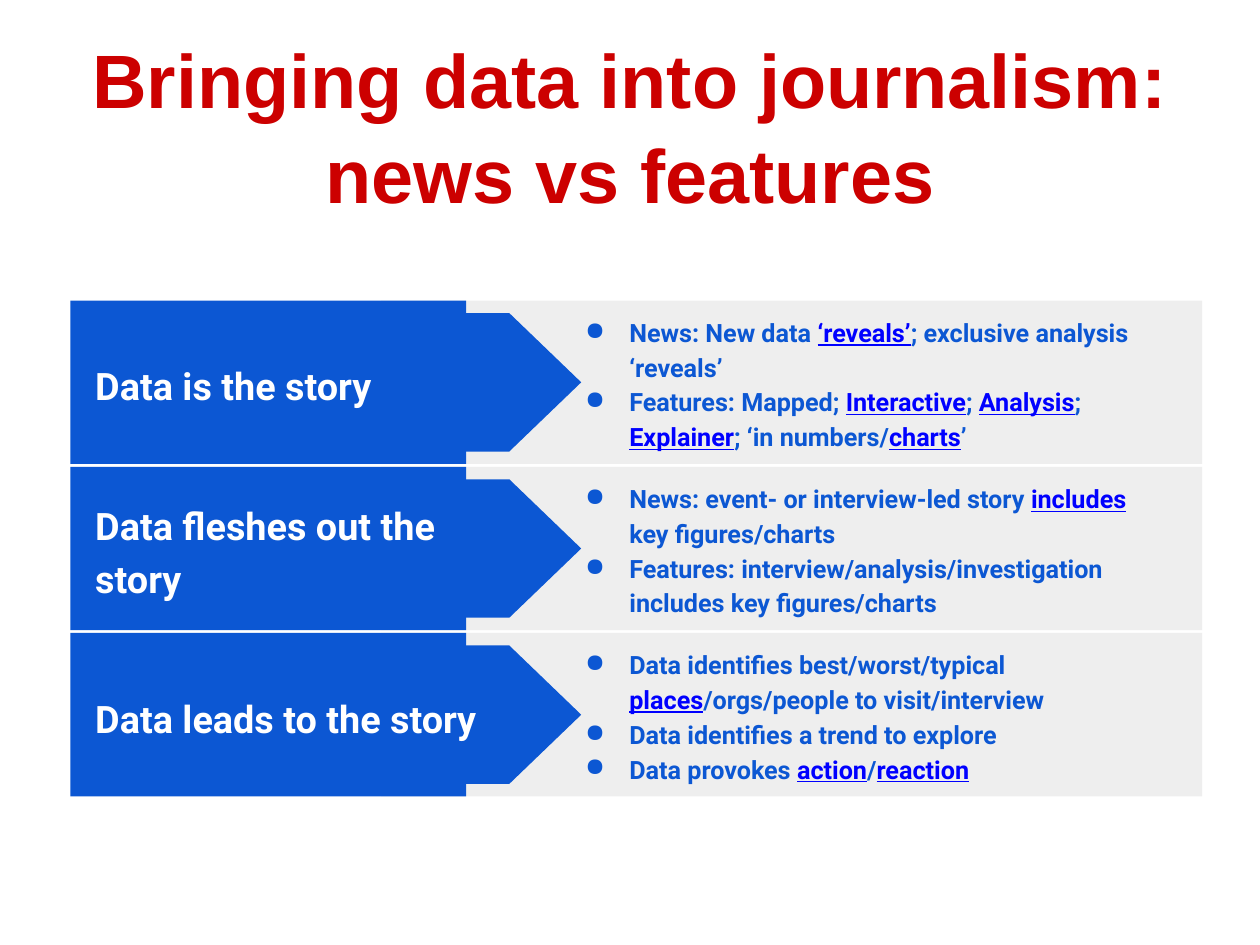
from lxml import etree
from pptx import Presentation
from pptx.dml.color import RGBColor
from pptx.enum.shapes import MSO_SHAPE
from pptx.enum.text import MSO_ANCHOR, PP_ALIGN
from pptx.oxml.ns import qn
from pptx.util import Inches, Pt

RECT = MSO_SHAPE.RECTANGLE
POINTER = MSO_SHAPE.FLOWCHART_OFFPAGE_CONNECTOR
MIDDLE = MSO_ANCHOR.MIDDLE
CENTER = PP_ALIGN.CENTER

# Content: the words between bars are underlined
TITLE = "Bringing data into journalism: news vs features"
ROWS = [
    ("Data is the story", [
        "News: New data |‘reveals’|; exclusive analysis ‘reveals’",
        "Features: Mapped; |Interactive|; |Analysis|; |Explainer|; ‘in numbers/|charts|’",
    ]),
    ("Data fleshes out the story", [
        "News: event- or interview-led story |includes| key figures/charts",
        "Features: interview/analysis/investigation includes key figures/charts",
    ]),
    ("Data leads to the story", [
        "Data identifies best/worst/typical |places|/orgs/people to visit/interview",
        "Data identifies a trend to explore",
        "Data provokes |action|/|reaction|",
    ]),
]
COLORS = {"title": "CC0000", "blue": "0C57D3", "panel": "EEEEEE",
          "label": "FFFFFF", "link": "0000FF"}

# Layout in inches
ROW_TOP, ROW_PITCH, ROW_H = 2.65, 1.465, 1.44
POINTER_W, POINTER_LEN, POINTER_MID = 1.22, 3.17, 3.54
LABEL_H = 1.11

prs = Presentation()
prs.slide_width, prs.slide_height = Inches(11.11), Inches(8.33)
s = prs.slides.add_slide(prs.slide_layouts[6])


def add_block(kind, x, y, w, h, color, rotation=0):
    sp = s.shapes.add_shape(kind, Inches(x), Inches(y), Inches(w), Inches(h))
    sp.shadow.inherit = False
    sp.fill.solid()
    sp.fill.fore_color.rgb = RGBColor.from_string(COLORS[color])
    sp.line.fill.background()
    sp.rotation = rotation


def add_box(x, y, w, h, inset):
    tf = s.shapes.add_textbox(Inches(x), Inches(y), Inches(w), Inches(h)).text_frame
    tf.word_wrap = True
    tf.vertical_anchor = MIDDLE
    tf.margin_left = tf.margin_right = tf.margin_top = tf.margin_bottom = Inches(inset)
    return tf


def add_run(p, text, size, color, font="Roboto", underline=False):
    r = p.add_run()
    r.text = text
    r.font.size, r.font.name, r.font.bold = Pt(size), font, True
    r.font.underline = underline
    r.font.color.rgb = RGBColor.from_string(COLORS[color])


def add_bullet(p):
    pPr = p._p.get_or_add_pPr()
    pPr.set("marL", str(Inches(0.56)))
    pPr.set("indent", str(Inches(-0.39)))
    bu_color = etree.SubElement(pPr, qn("a:buClr"))
    etree.SubElement(bu_color, qn("a:srgbClr")).set("val", COLORS["blue"])
    etree.SubElement(pPr, qn("a:buChar")).set("char", "●")


# Rows: panel, label block, pointer and two texts
for i, (label, bullets) in enumerate(ROWS):
    top = ROW_TOP + i * ROW_PITCH
    mid = top + ROW_H / 2
    add_block(RECT, 3.36, top, 7.24, ROW_H, "panel")
    add_block(RECT, 0.62, top, 3.49, ROW_H, "blue")
    add_block(POINTER, POINTER_MID - POINTER_W / 2, mid - POINTER_LEN / 2,
              POINTER_W, POINTER_LEN, "blue", rotation=270)

    p = add_box(0.73, mid - LABEL_H / 2, 3.67, LABEL_H, 0.11).paragraphs[0]
    p.line_spacing = 1.15
    add_run(p, label, 24, "label")

    tf = add_box(4.88, top, 5.35, ROW_H, 0.11)
    for j, bullet in enumerate(bullets):
        p = tf.add_paragraph() if j else tf.paragraphs[0]
        add_bullet(p)
        p.line_spacing = 1.15
        for k, part in enumerate(bullet.split("|")):
            linked = k % 2 == 1
            if part:
                add_run(p, part, 16, "link" if linked else "blue", underline=linked)

# Title
p = add_box(0.38, 0.16, 10.35, 1.86, 0.1).paragraphs[0]
p.alignment = CENTER
p.line_spacing = 1.05
add_run(p, TITLE, 48, "title", font="Arial")

prs.save("out.pptx")
